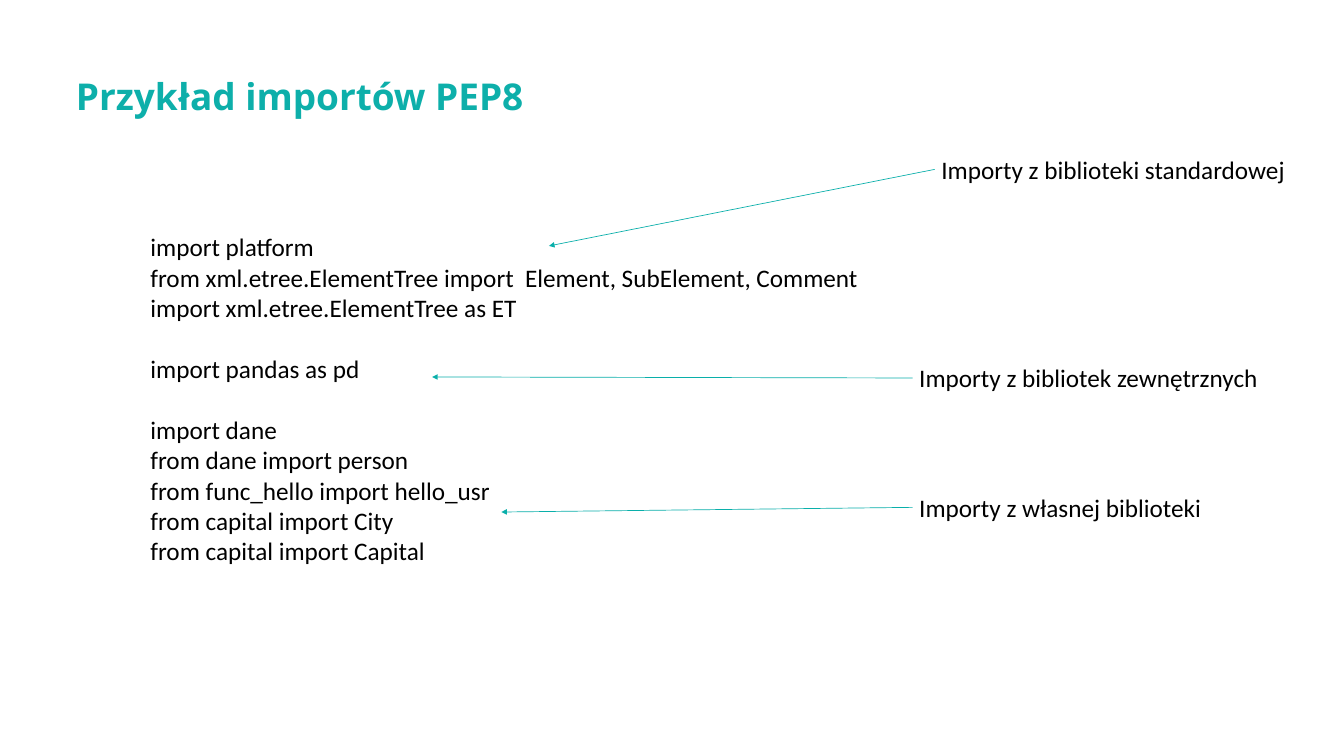
from pptx import Presentation
from pptx.dml.color import RGBColor
from pptx.enum.shapes import MSO_CONNECTOR
from pptx.enum.text import MSO_ANCHOR, PP_ALIGN
from pptx.oxml.ns import qn
from pptx.util import Pt
from lxml.etree import SubElement

COLORS = {"title": "0DAFAA", "arrow": "09AFAA", "text": "000000", "background": "FFFFFF"}
TITLE = "Przykład importów PEP8"
IMPORT_GROUPS = [
    [
        "import platform",
        "from xml.etree.ElementTree import  Element, SubElement, Comment",
        "import xml.etree.ElementTree as ET",
    ],
    ["import pandas as pd"],
    [
        "import dane",
        "from dane import person",
        "from func_hello import hello_usr",
        "from capital import City",
        "from capital import Capital",
    ],
]
LABELS = [
    ("Importy z biblioteki standardowej", (1001.5, 161.3), (588.2, 263.5)),
    ("Importy z bibliotek zewnętrznych", (977.8, 384.8), (463, 403.9)),
    ("Importy z własnej biblioteki", (977.8, 523.4), (537.1, 548.6)),
]
LABEL_WIDTH, LABEL_HEIGHT = 402.5, 40.4
TEXT_SIZE, GROUP_GAP = 27, 33


def add_run(paragraph, text, font_name, size, color, bold=False):
    run = paragraph.add_run()
    run.text = text
    run.font.name = font_name
    run.font.size = Pt(size)
    run.font.bold = bold
    run.font.color.rgb = RGBColor.from_string(COLORS[color])


def add_frame(slide, left, top, width, height):
    frame = slide.shapes.add_textbox(Pt(left), Pt(top), Pt(width), Pt(height)).text_frame
    frame.word_wrap = True
    return frame


def add_title(slide):
    title = slide.shapes.title
    title.left, title.top, title.width, title.height = Pt(81.4), Pt(76.3), Pt(984.2), Pt(52.6)
    frame = title.text_frame
    frame.margin_left = frame.margin_right = frame.margin_top = frame.margin_bottom = 0
    frame.vertical_anchor = MSO_ANCHOR.MIDDLE
    frame.word_wrap = True
    frame.paragraphs[0].alignment = PP_ALIGN.LEFT
    add_run(frame.paragraphs[0], TITLE, "Open Sans", 39.6, "title", True)


def add_imports(slide):
    frame = add_frame(slide, 154.1, 244.8, 848.2, 367.2)
    for group_index, group in enumerate(IMPORT_GROUPS):
        for line_index, code in enumerate(group):
            first = group_index == line_index == 0
            paragraph = frame.paragraphs[0] if first else frame.add_paragraph()
            if group_index and not line_index:
                paragraph.space_before = Pt(GROUP_GAP)
            add_run(paragraph, code, "Calibri", TEXT_SIZE, "text")


def add_arrow(slide, start, end):
    arrow = slide.shapes.add_connector(
        MSO_CONNECTOR.STRAIGHT, *(Pt(value) for value in (*start, *end))
    )
    arrow.line.color.rgb = RGBColor.from_string(COLORS["arrow"])
    arrow.line.width = Pt(0.75)
    SubElement(arrow.line._get_or_add_ln(), qn("a:tailEnd"), type="triangle")
    SubElement(arrow._element.spPr, qn("a:effectLst"))


def main():
    deck = Presentation()
    deck.slide_width, deck.slide_height = Pt(1440), Pt(810)
    slide = deck.slides.add_slide(deck.slide_layouts[5])
    slide.background.fill.solid()
    slide.background.fill.fore_color.rgb = RGBColor.from_string(COLORS["background"])
    add_title(slide)
    add_imports(slide)
    for label, (left, top), target in LABELS:
        frame = add_frame(slide, left, top, LABEL_WIDTH, LABEL_HEIGHT)
        add_run(frame.paragraphs[0], label, "Calibri", TEXT_SIZE, "text")
        add_arrow(slide, (left, top + LABEL_HEIGHT / 2), target)
    deck.save("out.pptx")


if __name__ == "__main__":
    main()
